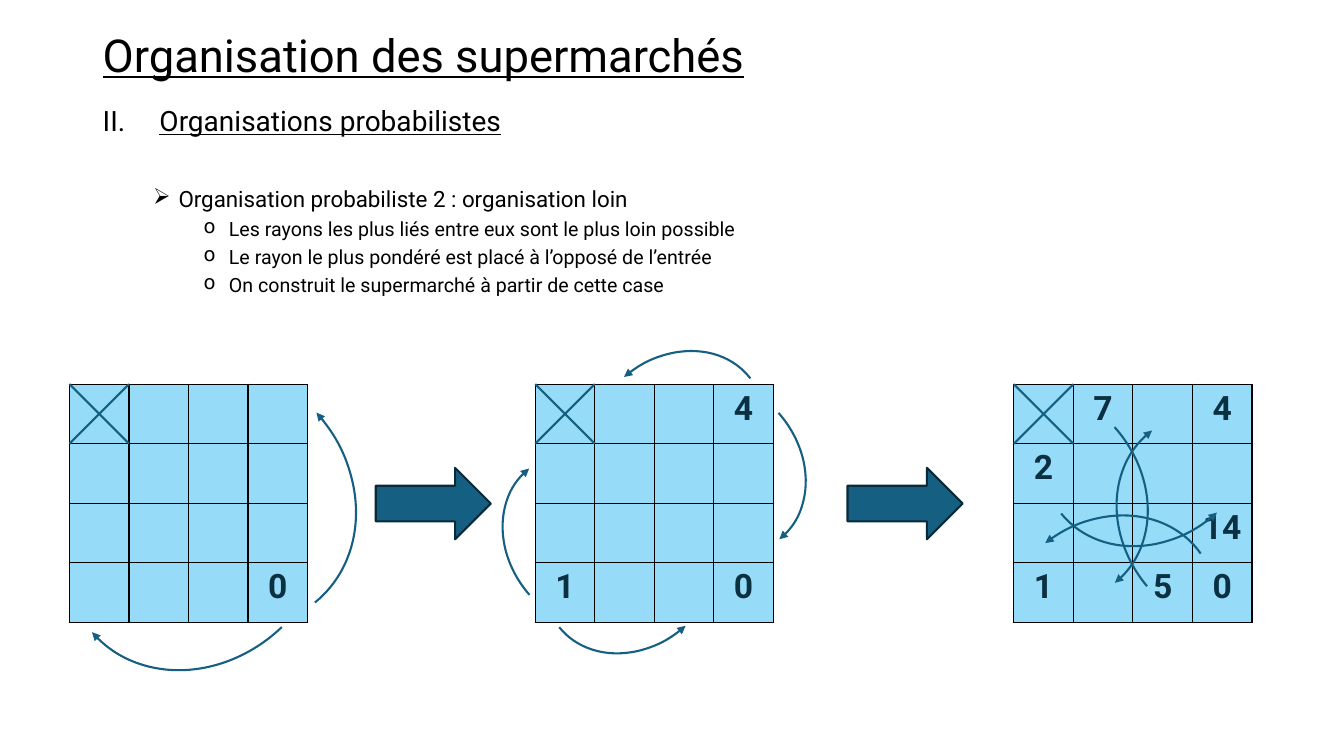
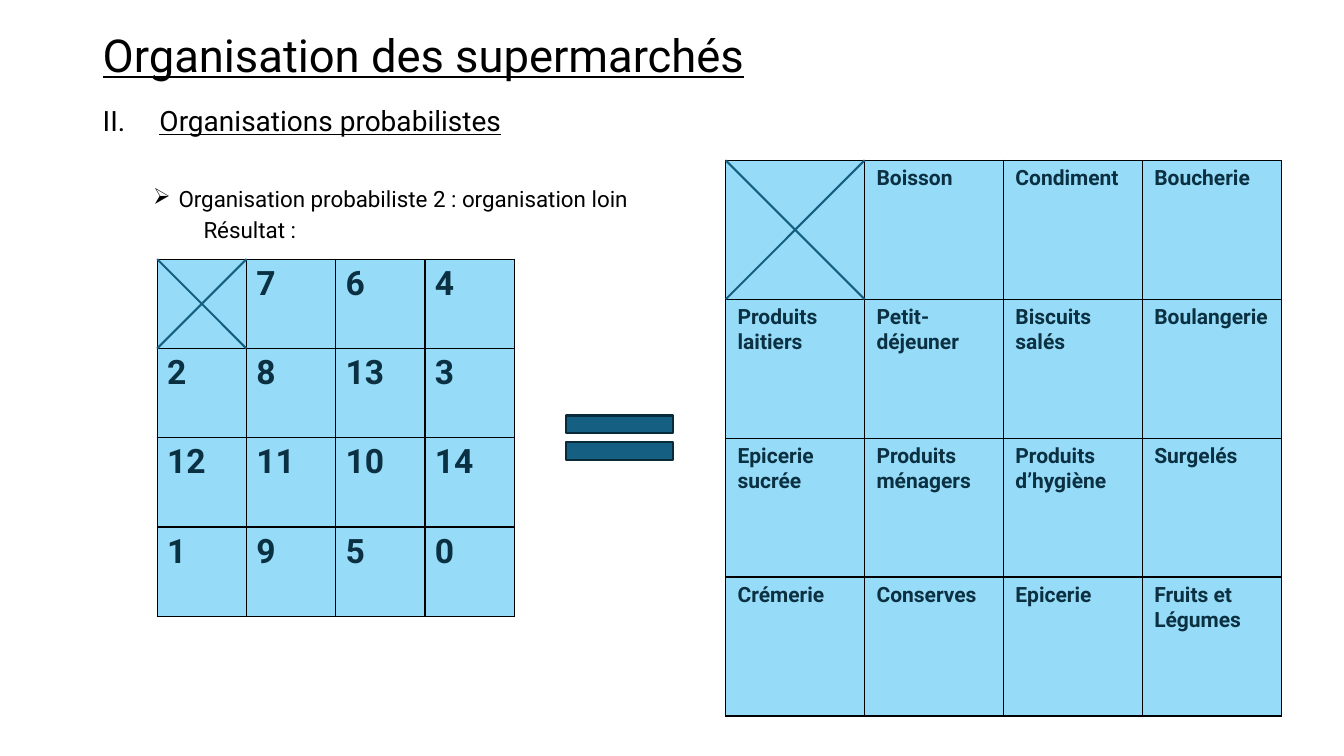
from lxml import etree
from pptx import Presentation
from pptx.dml.color import RGBColor
from pptx.enum.shapes import MSO_CONNECTOR, MSO_SHAPE as SHAPE
from pptx.enum.text import MSO_ANCHOR, PP_ALIGN as ALIGN
from pptx.oxml import parse_xml
from pptx.oxml.ns import nsdecls, qn
from pptx.util import Cm, Pt

# Shared look
BLACK, NAVY, SKY, TEAL, DARK_TEAL = "000000", "0B3041", "96DCF8", "156082", "092A39"
TITLE = {"name": "Roboto", "size": Pt(32.4), "underline": True}
SECTION = {"name": "Roboto", "size": Pt(20), "underline": True}
POINT = {"name": "Roboto", "size": Pt(16)}
DETAIL = {"name": "Roboto", "size": Pt(14)}
NUMBER = {"name": "Roboto", "size": Pt(24), "bold": True}
AISLE = {"name": "Roboto", "size": Pt(15), "bold": True}


def rgb(hex_color):
    return RGBColor.from_string(hex_color)


def write(paragraph, text, style, color):
    font_run = paragraph.add_run()
    font_run.text = text
    for attribute, value in style.items():
        setattr(font_run.font, attribute, value)
    font_run.font.color.rgb = rgb(color)


# Outline: text, style, left margin, hanging indent (cm), space before (pt), bullet
ROMAN = '<a:buAutoNum {} type="romanUcPeriod" startAt="2"/>'
CHEVRON = '<a:buChar {} char="➢"/>'
CIRCLE = '<a:buChar {} char="o"/>'
NO_BULLET = '<a:buNone {}/>'
HEADINGS = [
    ("Organisations probabilistes", SECTION, 1.43, 1.43, 0, ROMAN),
    ("Organisation probabiliste 2 : organisation loin", POINT, 1.91, 0.64, 36, CHEVRON),
]
RULES = [
    (rule, DETAIL, 3.18, 0.64, 5, CIRCLE)
    for rule in (
        "Les rayons les plus liés entre eux sont le plus loin possible",
        "Le rayon le plus pondéré est placé à l’opposé de l’entrée",
        "On construit le supermarché à partir de cette case",
    )
]
RESULT = [("Résultat :", POINT, 2.54, 0, 5, NO_BULLET)]

# Market plans: left, top, cell side, cell margin (cm), style, alignment, rows
STEPS = [
    (1.75, [[""] * 4, [""] * 4, [""] * 4, ["", "", "", "0"]]),
    (13.49, [["", "", "", "4"], [""] * 4, [""] * 4, ["1", "", "", "0"]]),
    (25.55, [["", "7", "", "4"], ["2", "", "", ""],
             ["", "", "", "14"], ["1", "", "5", "0"]]),
]
STEP_PLANS = [
    (left, 9.68, 1.5, 0.25, NUMBER, ALIGN.CENTER, rows) for left, rows in STEPS
]
RESULT_PLANS = [
    (18.29, 4.04, 3.5, 0.3, AISLE, ALIGN.LEFT, [
        ["", "Boisson", "Condiment", "Boucherie"],
        ["Produits laitiers", "Petit-déjeuner", "Biscuits salés", "Boulangerie"],
        ["Epicerie sucrée", "Produits ménagers", "Produits d’hygiène", "Surgelés"],
        ["Crémerie", "Conserves", "Epicerie", "Fruits et Légumes"],
    ]),
    (3.96, 6.53, 2.25, 0.25, NUMBER, ALIGN.LEFT, [
        ["", "7", "6", "4"],
        ["2", "8", "13", "3"],
        ["12", "11", "10", "14"],
        ["1", "9", "5", "0"],
    ]),
]

# Signs between the plans: shape, left, top, width, height
STEP_SIGNS = [(SHAPE.RIGHT_ARROW, left, 11.79, 2.9, 1.8) for left in (9.47, 21.36)]
RESULT_SIGNS = [(SHAPE.MATH_EQUAL, 13.79, 10.08, 3.66, 1.9)]

# Curved moves: left, top, (width, height), rotation, end with the arrowhead
WIDE, SMALL, INNER = (7.09, 6.17), (4.8, 4.01), (5.87, 5)
MOVES = [
    (2.13, 9.37, WIDE, 48.2, "headEnd"),
    (1.42, 10.49, WIDE, 136.2, "tailEnd"),
    (13.54, 12.27, SMALL, 138.2, "headEnd"),
    (15.72, 9.73, SMALL, 48.5, "tailEnd"),
    (14.63, 9.02, SMALL, 319.5, "headEnd"),
    (12.45, 11.66, SMALL, 228.7, "tailEnd"),
    (26.06, 8.56, INNER, 138, "headEnd"),
    (24.94, 13.16, INNER, 322.2, "headEnd"),
    (23.29, 9.93, INNER, 48.2, "tailEnd"),
    (27.89, 10.67, INNER, 230.2, "tailEnd"),
]

# Slides: outline, outline width and height, plans, signs, moves
PAGES = [
    (HEADINGS + RULES, 17, 5.1, STEP_PLANS, STEP_SIGNS, MOVES),
    (HEADINGS + RESULT, 15.5, 3.8, RESULT_PLANS, RESULT_SIGNS, []),
]

deck = Presentation()
deck.slide_width, deck.slide_height = Cm(33.87), Cm(19.05)

for outline, outline_width, outline_height, plans, signs, moves in PAGES:
    shapes = deck.slides.add_slide(deck.slide_layouts[6]).shapes

    # Title
    title = shapes.add_textbox(Cm(2.34), Cm(1.02), Cm(24.05), Cm(0.89)).text_frame
    title.word_wrap = True
    title.vertical_anchor = MSO_ANCHOR.MIDDLE
    title.paragraphs[0].line_spacing = 0.9
    write(title.paragraphs[0], "Organisation des supermarchés", TITLE, BLACK)

    # Outline
    body = shapes.add_textbox(
        Cm(2.34), Cm(2.59), Cm(outline_width), Cm(outline_height)).text_frame
    body.word_wrap = True
    for index, (text, style, margin, hanging, before, bullet) in enumerate(outline):
        paragraph = body.add_paragraph() if index else body.paragraphs[0]
        properties = paragraph._p.get_or_add_pPr()
        properties.set("marL", str(Cm(margin)))
        properties.set("indent", str(-Cm(hanging)))
        properties.append(parse_xml(bullet.format(nsdecls("a"))))
        paragraph.line_spacing = 0.9
        paragraph.space_before = Pt(before)
        write(paragraph, text, style, BLACK)

    # Market plans
    for left, top, side, margin, style, alignment, rows in plans:
        plan = shapes.add_table(
            4, 4, Cm(left), Cm(top), Cm(4 * side), Cm(4 * side)).table
        plan.first_row = plan.horz_banding = False
        for track in plan.columns:
            track.width = Cm(side)
        for track in plan.rows:
            track.height = Cm(side)
        for cell, text in zip(plan.iter_cells(), sum(rows, [])):
            cell_properties = cell._tc.get_or_add_tcPr()
            for edge in ("lnL", "lnR", "lnT", "lnB"):
                cell_properties.append(parse_xml(
                    f'<a:{edge} {nsdecls("a")} w="12700"><a:solidFill>'
                    f'<a:srgbClr val="{BLACK}"/></a:solidFill></a:{edge}>'))
            cell.fill.solid()
            cell.fill.fore_color.rgb = rgb(SKY)
            cell.margin_left = cell.margin_right = Cm(margin)
            cell.margin_top = cell.margin_bottom = Cm(margin / 2)
            if text:
                cell.text_frame.paragraphs[0].alignment = alignment
                write(cell.text_frame.paragraphs[0], text, style, NAVY)

        # Crossed-out entrance
        for start, end in ((left, left + side), (left + side, left)):
            stroke = shapes.add_connector(
                MSO_CONNECTOR.STRAIGHT, Cm(start), Cm(top), Cm(end), Cm(top + side))
            stroke.line.color.rgb = rgb(TEAL)
            stroke.line.width = Pt(1.5)
            etree.SubElement(stroke._element.spPr, qn("a:effectLst"))

    # Signs between the plans
    for kind, left, top, width, height in signs:
        sign = shapes.add_shape(kind, Cm(left), Cm(top), Cm(width), Cm(height))
        sign.shadow.inherit = False
        sign.fill.solid()
        sign.fill.fore_color.rgb = rgb(TEAL)
        sign.line.color.rgb = rgb(DARK_TEAL)
        sign.line.width = Pt(1.5)

    # Curved moves
    for left, top, (width, height), rotation, arrow_end in moves:
        move = shapes.add_shape(SHAPE.ARC, Cm(left), Cm(top), Cm(width), Cm(height))
        move.adjustments[0], move.adjustments[1] = 162, 1.29
        move.rotation = rotation
        move.shadow.inherit = False
        move.fill.background()
        move.line.color.rgb = rgb(TEAL)
        move.line.width = Pt(1.5)
        etree.SubElement(move.line._get_or_add_ln(), qn(f"a:{arrow_end}"), type="triangle")

deck.save("out.pptx")
